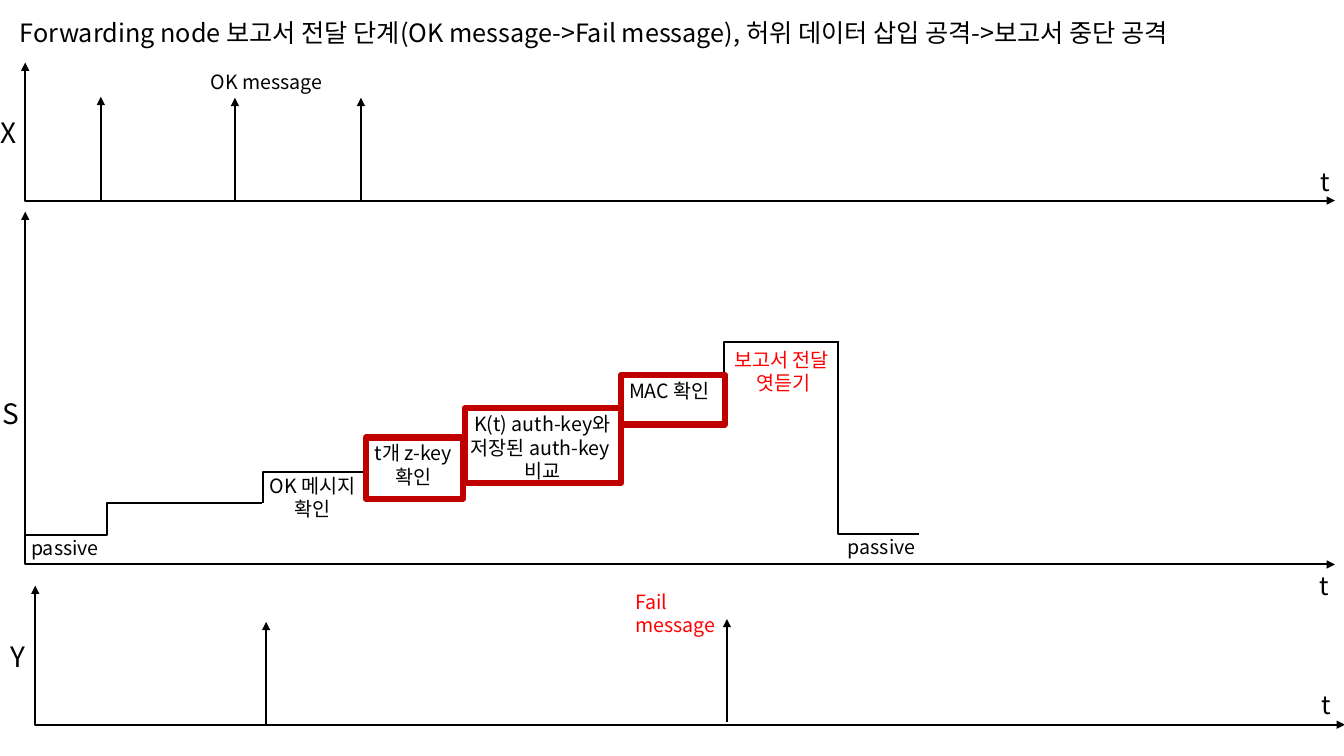
from lxml.etree import SubElement
from pptx import Presentation
from pptx.dml.color import RGBColor
from pptx.enum.shapes import MSO_CONNECTOR as LINE, MSO_SHAPE as SHAPE
from pptx.enum.text import MSO_AUTO_SIZE as FIT, PP_ALIGN as ALIGN
from pptx.oxml.ns import qn
from pptx.util import Pt

BLACK = RGBColor(0x00, 0x00, 0x00)
RED = RGBColor(0xFF, 0x00, 0x00)
DARK_RED = RGBColor(0xC0, 0x00, 0x00)
PX = 9144


class Diagram:
    font = "Noto Sans CJK KR"
    thin = Pt(1.5)
    thick = Pt(4.5)

    def __init__(self, slide):
        self.shapes = slide.shapes

    def text(self, x, y, w, h, lines, size=14, color=BLACK, align=ALIGN.LEFT):
        s = self.shapes.add_textbox(x * PX, y * PX, w * PX, h * PX)
        tf = s.text_frame
        tf.word_wrap = True
        tf.auto_size = FIT.SHAPE_TO_FIT_TEXT
        for i, line in enumerate(lines):
            p = tf.add_paragraph() if i else tf.paragraphs[0]
            p.alignment = align
            r = p.add_run()
            r.text = line
            r.font.size = Pt(size)
            r.font.color.rgb = color
            r.font.name = self.font
            SubElement(r.font._element, qn("a:ea"), typeface=self.font)

    def line(self, kind, x1, y1, x2, y2, ends=()):
        s = self.shapes.add_connector(kind, x1 * PX, y1 * PX, x2 * PX, y2 * PX)
        s.line.color.rgb = BLACK
        s.line.width = self.thin
        for end in ends:
            SubElement(s.line._ln, qn(f"a:{end}"), type="triangle")
        SubElement(s._element.spPr, qn("a:effectLst"))
        return s

    def bend(self, x1, y1, x2, y2, turn=0, ends=()):
        s = self.line(LINE.ELBOW, x1, y1, x2, y2, ends)
        guides = s._element.spPr.find(qn("a:prstGeom")).get_or_add_avLst()
        SubElement(guides, qn("a:gd"), name="adj1", fmla=f"val {turn}")

    def axes(self, x, top, bottom):
        self.bend(x, top, x + 1299, bottom, ends=("headEnd", "tailEnd"))

    def event(self, x, bottom):
        self.line(LINE.STRAIGHT, x, bottom, x, bottom - 102, ("tailEnd",))

    def frame(self, x, y, w, h):
        s = self.shapes.add_shape(SHAPE.RECTANGLE, x * PX, y * PX, w * PX, h * PX)
        s.shadow.inherit = False
        s.fill.background()
        s.line.color.rgb = DARK_RED
        s.line.width = self.thick


def main():
    prs = Presentation()
    prs.slide_width, prs.slide_height = 1333 * PX, 750 * PX
    d = Diagram(prs.slides.add_slide(prs.slide_layouts[6]))

    d.text(10, 12, 1314, 40, ["Forwarding node 보고서 전달 단계(OK message->Fail message), "
                              "허위 데이터 삽입 공격->보고서 중단 공격"], 18)

    for x, top, bottom in [(25, 62, 199), (25, 210, 560), (35, 581, 719)]:
        d.axes(x, top, bottom)
    for name, x, y in [("X", -9, 110), ("S", -7, 388), ("Y", 1, 630)]:
        d.text(x, y, 45, 44, [name], 20)
    for x, y in [(1300, 160), (1299, 561), (1301, 679)]:
        d.text(x, y, 45, 40, ["t"], 18)

    for x, bottom in [(100, 198), (233, 199), (358, 199), (264, 719), (721, 716)]:
        d.event(x, bottom)

    d.bend(24, 531, 260, 499, 34800)
    for step in [(261, 499, 360, 468), (361, 467, 460, 436), (460, 436, 617, 405),
                 (616, 402, 718, 371), (718, 370, 832, 339), (831, 340, 912, 530)]:
        d.bend(*step)

    for box in [(363, 434, 96, 61), (461, 405, 155, 74), (616, 372, 103, 49)]:
        d.frame(*box)

    for x, y in [(21, 527), (831, 526)]:
        d.text(x, y, 125, 34, ["passive"])
    d.text(199, 64, 147, 34, ["OK message"])
    d.text(614, 371, 109, 34, ["MAC 확인"])
    d.text(620, 580, 135, 34, ["Fail message"], color=RED)

    for x, y, w, h, lines, color in [
        (226, 465, 168, 57, ["OK 메시지", "확인"], BLACK),
        (326, 433, 168, 57, ["t개 z-key", "확인"], BLACK),
        (390, 404, 296, 81, ["K(t) auth-key와", "저장된 auth-key ", "비교"], BLACK),
        (715, 340, 125, 57, ["보고서 전달 ", "엿듣기"], RED),
    ]:
        d.text(x, y, w, h, lines, color=color, align=ALIGN.CENTER)

    prs.save("out.pptx")


if __name__ == "__main__":
    main()
